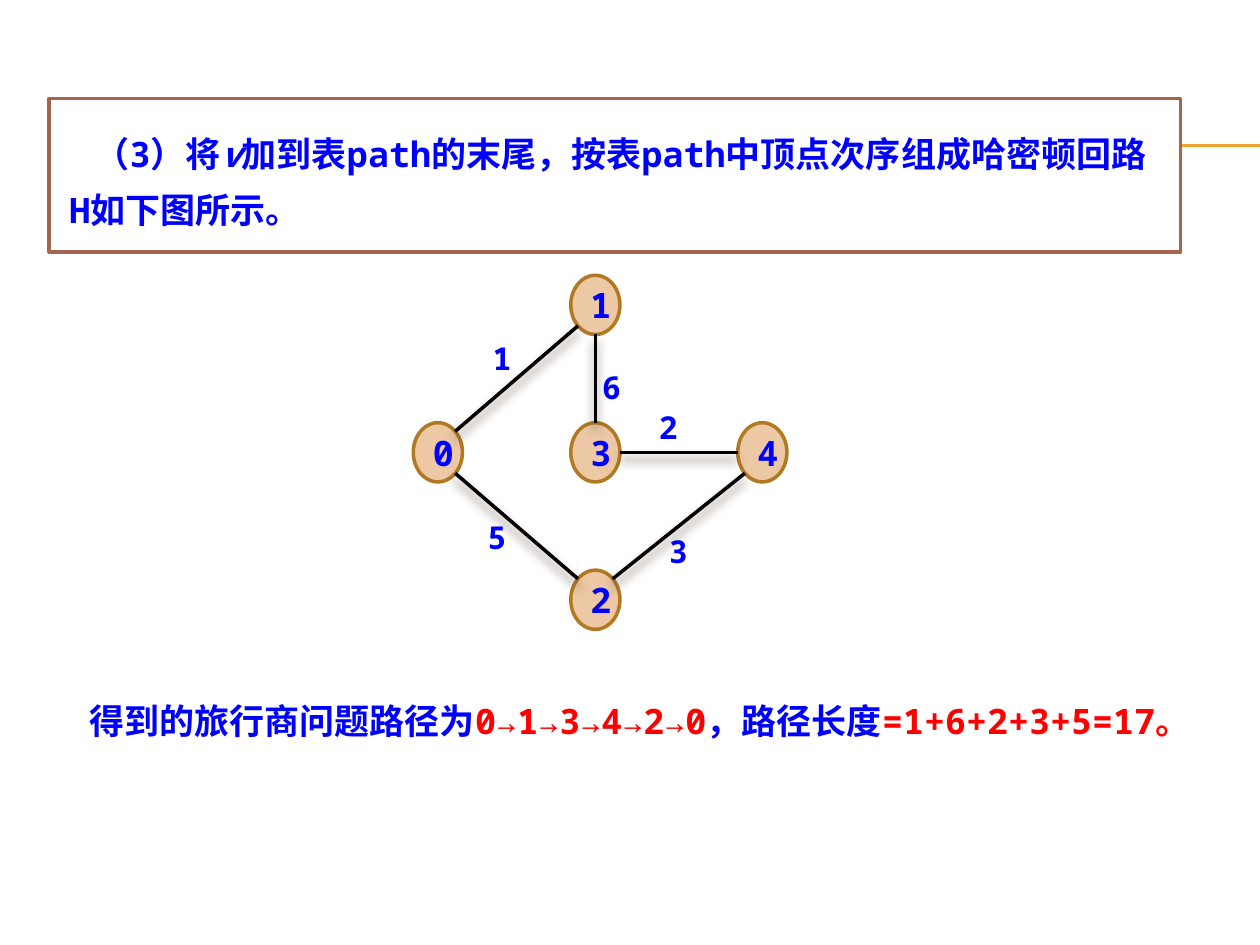
from math import cos, radians, sin

from lxml.etree import SubElement
from pptx import Presentation
from pptx.dml.color import RGBColor
from pptx.enum.shapes import MSO_CONNECTOR, MSO_SHAPE
from pptx.enum.text import MSO_ANCHOR, MSO_AUTO_SIZE, PP_ALIGN
from pptx.oxml.ns import qn
from pptx.util import Inches, Pt

COLORS = {
    "text": "0000FF", "result": "FF0000", "rule": "F0A22E",
    "frame": "A5644E", "paper": "FFFFFF", "node": "ECC8A4",
    "rim": "B27822", "edge": "000000", "shadow": "4E3B30",
}
NODE_SIZE = (3.9, 4.7)


class GraphSlide:
    """Style and drawing methods for one slide on a 100 by 75 grid."""

    font = "Noto Sans Mono"

    def __init__(self, deck):
        """Add a blank slide and work out the grid cell."""
        self.slide = deck.slides.add_slide(deck.slide_layouts[6])
        self.cell = deck.slide_width / 100

    def grid(self, *steps):
        """Turn grid steps into slide lengths."""
        return [round(step * self.cell) for step in steps]

    def color(self, name):
        """Look up a named colour."""
        return RGBColor.from_string(COLORS[name])

    def add_runs(self, shape, runs, size=20, align=None, leading=None,
                 insets=None, grow=False):
        """Fill a shape with runs of (text, colour, italic)."""
        frame = shape.text_frame
        frame.word_wrap = True
        if insets:
            (frame.margin_left, frame.margin_top,
             frame.margin_right, frame.margin_bottom) = map(Inches, insets)
        if grow:
            frame.auto_size = MSO_AUTO_SIZE.SHAPE_TO_FIT_TEXT
        paragraph = frame.paragraphs[0]
        paragraph.alignment = align
        if leading:
            paragraph.line_spacing = Pt(leading)
        for text, color, italic in runs:
            run = paragraph.add_run()
            run.text = text
            run.font.name, run.font.size = self.font, Pt(size)
            run.font.bold, run.font.italic = True, italic
            run.font.color.rgb = self.color(color)
        return paragraph

    def shape(self, kind, place, fill, line):
        """Draw a filled, outlined preset shape."""
        shape = self.slide.shapes.add_shape(kind, *self.grid(*place))
        shape.shadow.inherit = False
        shape.fill.solid()
        shape.fill.fore_color.rgb = self.color(fill)
        shape.line.color.rgb = self.color(line)
        shape.line.width = Pt(2)
        return shape

    def statement(self, place, runs, indent):
        """Draw the framed statement with an indented first line."""
        box = self.shape(MSO_SHAPE.RECTANGLE, place, "paper", "frame")
        box.text_frame.vertical_anchor = MSO_ANCHOR.TOP
        paragraph = self.add_runs(box, runs, align=PP_ALIGN.LEFT, leading=32,
                                  insets=(0.16, 0.16, 0.2, 0.16), grow=True)
        paragraph._p.get_or_add_pPr().set("indent", str(Inches(indent)))

    def node(self, label, center):
        """Draw a numbered vertex around its centre."""
        corner = [c - s / 2 for c, s in zip(center, NODE_SIZE)]
        oval = self.shape(MSO_SHAPE.OVAL, (*corner, *NODE_SIZE), "node", "rim")
        oval.text_frame.vertical_anchor = MSO_ANCHOR.MIDDLE
        self.add_runs(oval, [(label, "text", False)], align=PP_ALIGN.CENTER)

    def text(self, place, runs, **style):
        """Place a text box that grows with its text."""
        box = self.slide.shapes.add_textbox(*self.grid(*place))
        self.add_runs(box, runs, grow=True, **style)

    def line(self, start, end, color, width, shadow=False):
        """Draw a straight line, with or without a soft shadow."""
        line = self.slide.shapes.add_connector(
            MSO_CONNECTOR.STRAIGHT, *self.grid(*start, *end))
        line.line.color.rgb = self.color(color)
        line.line.width = Pt(width)
        effects = SubElement(line._element.spPr, qn("a:effectLst"))
        if shadow:
            outer = SubElement(effects, qn("a:outerShdw"), blurRad=str(Pt(6)),
                               dist=str(Pt(4)), dir=str(90 * 60000),
                               algn="ctr", rotWithShape="0")
            tint = SubElement(outer, qn("a:srgbClr"), val=COLORS["shadow"])
            SubElement(tint, qn("a:alpha"), val="60000")


def rim_point(center, angle):
    """Find the point on a vertex's rim at a clockwise angle."""
    turn = radians(angle)
    return (center[0] + NODE_SIZE[0] / 2 * cos(turn),
            center[1] + NODE_SIZE[1] / 2 * sin(turn))


def build():
    """Build the Hamiltonian circuit slide."""
    deck = Presentation()
    deck.slide_width, deck.slide_height = Inches(10), Inches(7.5)
    page = GraphSlide(deck)

    for height in (11.5, 11.6):
        page.line((5.6, height), (100, height), "rule", 0.75)
    page.statement((3.9, 7.8, 89.8, 12.2), [
        ("（3）将", "text", False),
        ("v", "text", True),
        ("加到表path的末尾，按表path中顶点次序组成哈密顿回路H如下图所示。",
         "text", False),
    ], indent=0.2)

    left, middle, right = 34.75, 47.25, 60.5
    top, center, bottom = 24.2, 35.9, 47.6
    nodes = {"0": (left, center), "1": (middle, top), "3": (middle, center),
             "2": (middle, bottom), "4": (right, center)}
    for label, spot in nodes.items():
        page.node(label, spot)

    # Start, start angle, end, end angle, weight, weight position
    edges = [
        ("0", -45, "1", 135, "1", (39.1, 26.9)),
        ("1", 90, "3", -90, "6", (47.8, 29.2)),
        ("3", 0, "4", 180, "2", (52.3, 32.4)),
        ("4", 135, "2", -45, "3", (53.1, 42.2)),
        ("0", 45, "2", 225, "5", (38.7, 41.1)),
    ]
    for start, leave, end, arrive, weight, spot in edges:
        page.line(rim_point(nodes[start], leave), rim_point(nodes[end], arrive),
                  "edge", 2, shadow=True)
        page.text((*spot, 2.3, 3.5), [(weight, "text", False)], size=18,
                  insets=(0, 0, 0, 0.05))

    page.text((5.5, 53.9, 90.6, 5.7), [
        ("得到的旅行商问题路径为", "text", False),
        ("0→1→3→4→2→0", "result", False),
        ("，路径长度", "text", False),
        ("=1+6+2+3+5=17。", "result", False),
    ], align=PP_ALIGN.CENTER, leading=32, insets=(0.1, 0.05, 0.1, 0.12))

    deck.save("out.pptx")


build()
